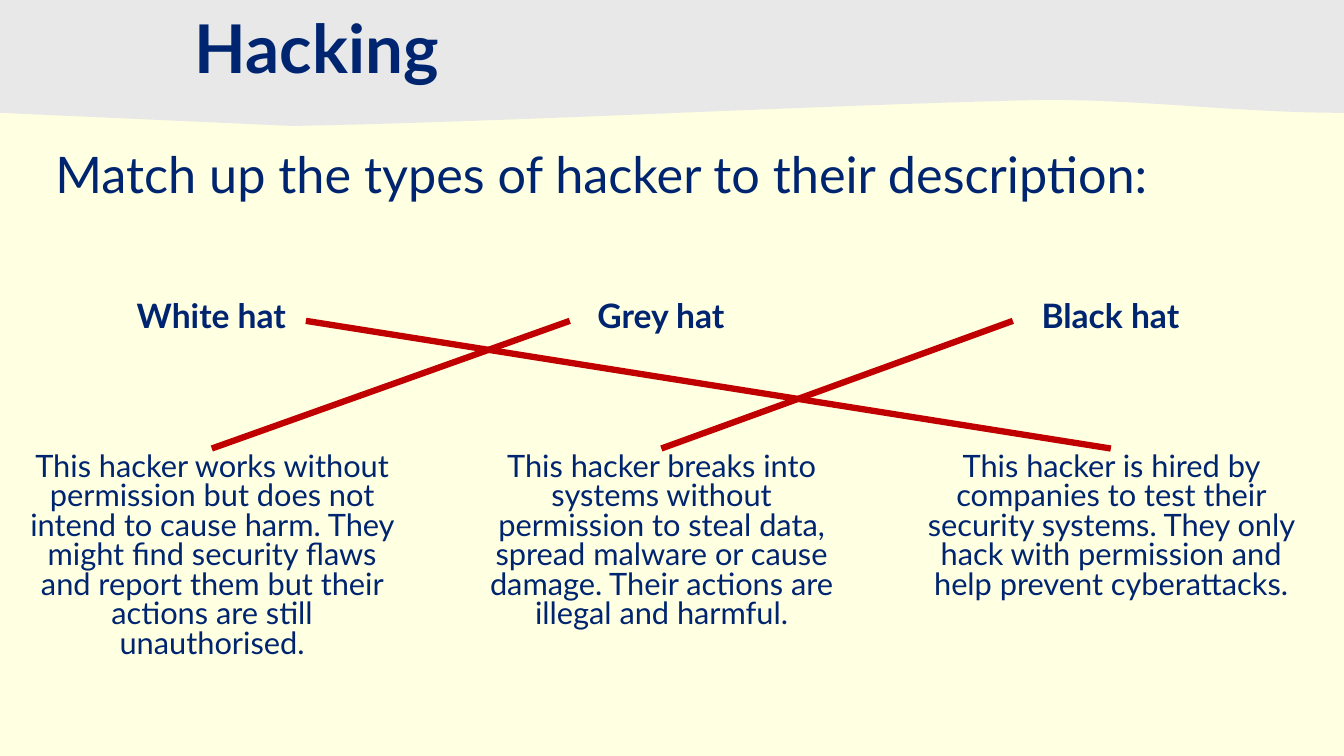
"""Build the hacker matching slide with three hat types, descriptions and answer lines."""
import lxml.etree
import pptx
import pptx.dml.color
import pptx.enum.shapes
import pptx.enum.text
import pptx.oxml.ns
import pptx.util

Pt = pptx.util.Pt
RGB = pptx.dml.color.RGBColor.from_string
ALIGN = pptx.enum.text.PP_ALIGN
FIT = pptx.enum.text.MSO_AUTO_SIZE
qn = pptx.oxml.ns.qn

THEME = {
    "font": "Lato", "paper": RGB("FFFFE1"), "band": RGB("E8E8E8"),
    "ink": RGB("002570"), "answer": RGB("C00000"), "answer_width": 4.5,
    "title": 48, "task": 36, "hat": 24, "description": 22,
}


def write(holder, text, role, box, align, spacing, bold=False, fit=FIT.NONE):
    """Place a text holder and fill it with one formatted run."""
    holder.left, holder.top, holder.width, holder.height = map(Pt, box)
    frame = holder.text_frame
    frame.word_wrap = True
    frame.auto_size = fit
    paragraph = frame.paragraphs[0]
    paragraph.alignment = align
    paragraph.line_spacing = spacing
    paragraph.space_before = Pt(0)
    run = paragraph.add_run()
    run.text = text
    run.font.name = THEME["font"]
    run.font.size = Pt(THEME[role])
    run.font.bold = bold
    run.font.color.rgb = THEME["ink"]


def curve(points, steps=24):
    """Return points along a cubic curve, without its start."""
    return [
        tuple(
            Pt((1 - t) ** 3 * a + 3 * t * (1 - t) ** 2 * b + 3 * t * t * (1 - t) * c + t ** 3 * d)
            for a, b, c, d in zip(*points)
        )
        for t in (step / steps for step in range(1, steps + 1))
    ]


deck = pptx.Presentation()
deck.slide_width, deck.slide_height = Pt(960), Pt(540)
slide = deck.slides.add_slide(deck.slide_layouts[1])
slide.background.fill.solid()
slide.background.fill.fore_color.rgb = THEME["paper"]

outline = slide.shapes.build_freeform(0, Pt(-0.5))
outline.add_line_segments([(Pt(960), Pt(-0.5)), (Pt(960), Pt(80.6))], close=False)
outline.add_line_segments(curve([(960, 80.6), (886, 80.6), (819, 71.3), (746, 71.3)]), close=False)
outline.add_line_segments(curve([(746, 71.3), (570, 75.6), (384.5, 86.4), (209, 90)]), close=False)
outline.add_line_segments([(0, Pt(80.6))], close=True)
band = outline.convert_to_shape()
band.shadow.inherit = False
band.fill.solid()
band.fill.fore_color.rgb = THEME["band"]
band.line.fill.background()
slide.shapes._spTree.insert(2, band._element)

title = slide.shapes.title
title.text_frame.vertical_anchor = pptx.enum.text.MSO_ANCHOR.MIDDLE
write(title, "Hacking", "title", (132, 7, 802, 60.5), ALIGN.LEFT, 0.9, bold=True)

task = slide.placeholders[1]
task_format = task.text_frame.paragraphs[0]._p.get_or_add_pPr()
task_format.set("marL", "0")
task_format.set("indent", "0")
lxml.etree.SubElement(task_format, qn("a:buNone"))
write(task, "Match up the types of hacker to their description:", "task",
      (32.4, 103.7, 901.5, 390), ALIGN.LEFT, 0.9)

matches = [
    ("White hat", "This hacker works without permission but does not intend to cause harm. "
     "They might find security flaws and report them but their actions are still unauthorised.", 179),
    ("Grey hat", "This hacker breaks into systems without permission to steal data, "
     "spread malware or cause damage. Their actions are illegal and harmful.", 158),
    ("Black hat", "This hacker is hired by companies to test their security systems. "
     "They only hack with permission and help prevent cyberattacks.", 158),
]
COLUMN_PITCH = 321.1
for column, (hat, description, height) in enumerate(matches):
    offset = column * COLUMN_PITCH
    for text, role, box, bold in (
        (description, "description", (11.5 + offset, 320.4, 280, height), False),
        (hat, "hat", (46 + offset, 213, 210, 32), True),
    ):
        holder = slide.shapes.add_textbox(0, 0, 0, 0)
        write(holder, text, role, box, ALIGN.CENTER, 0.8, bold, FIT.SHAPE_TO_FIT_TEXT)

for hat_x, description_column in ((218.5, 2), (407, 0), (723.5, 1)):
    description_x = 151.3 + description_column * COLUMN_PITCH
    answer = slide.shapes.add_connector(
        pptx.enum.shapes.MSO_CONNECTOR.STRAIGHT,
        Pt(hat_x), Pt(229.2), Pt(description_x), Pt(320.4))
    answer.line.color.rgb = THEME["answer"]
    answer.line.width = Pt(THEME["answer_width"])
    lxml.etree.SubElement(answer._element.spPr, qn("a:effectLst"))

deck.save("out.pptx")
